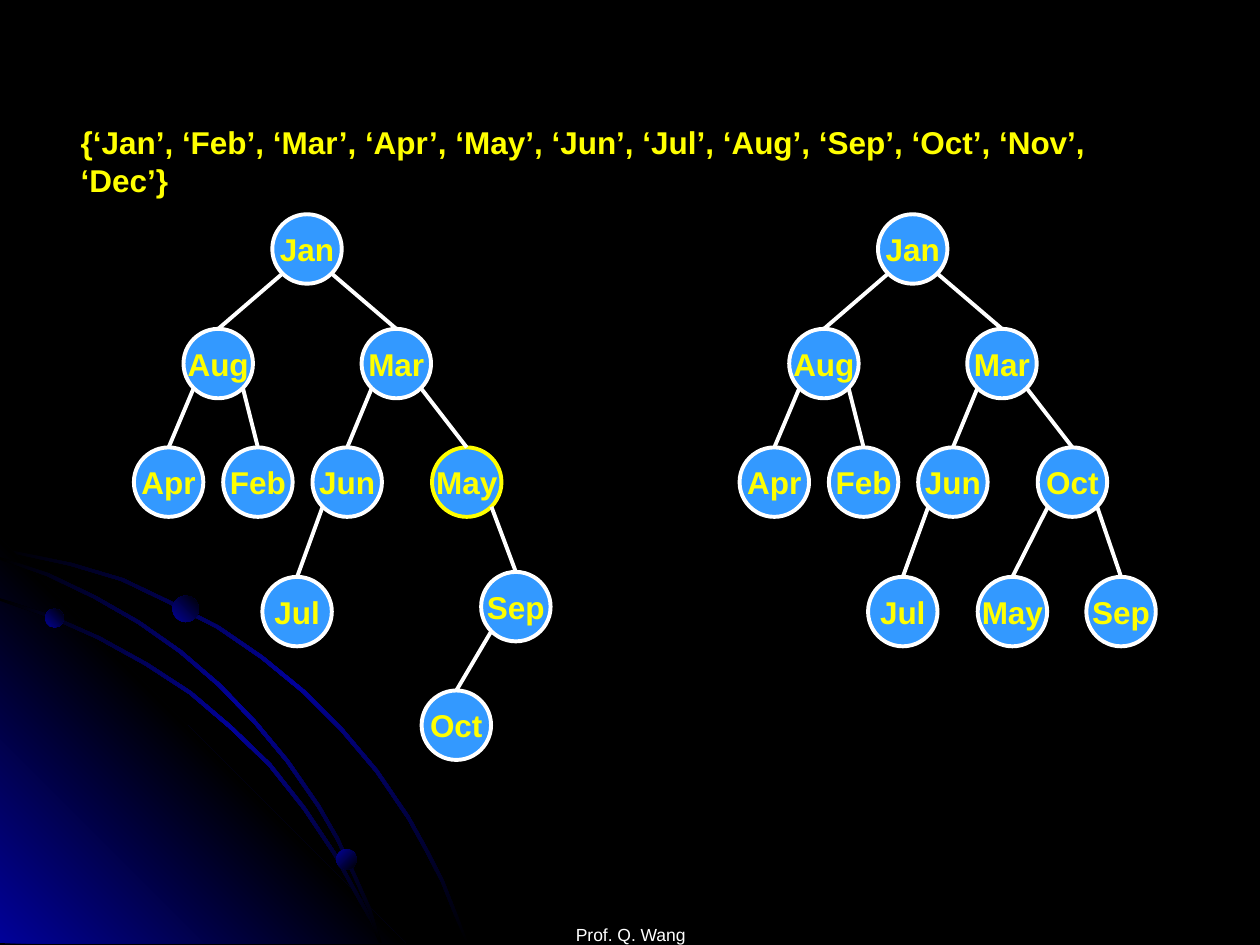
"""Build a slide that shows a search tree of months before and after a rotation."""
from dataclasses import dataclass

from lxml import etree
from pptx import Presentation
from pptx.dml.color import RGBColor
from pptx.enum.shapes import MSO_CONNECTOR, MSO_SHAPE
from pptx.enum.text import MSO_ANCHOR, MSO_AUTO_SIZE, PP_ALIGN
from pptx.oxml.ns import qn
from pptx.util import Cm, Pt

OVAL, STRAIGHT = MSO_SHAPE.OVAL, MSO_CONNECTOR.STRAIGHT
TOP, MIDDLE, BOTTOM = MSO_ANCHOR.TOP, MSO_ANCHOR.MIDDLE, MSO_ANCHOR.BOTTOM
LEFT, CENTER = PP_ALIGN.LEFT, PP_ALIGN.CENTER
NO_FIT = MSO_AUTO_SIZE.NONE
TOP_SITE = 0


@dataclass(frozen=True)
class Theme:
    """Colours, type sizes and measures of the slide."""
    black: str = "000000"
    navy: str = "010199"
    blue: str = "3399FF"
    white: str = "FFFFFF"
    yellow: str = "FFFF00"
    font: str = "Arial"
    body: float = 18
    small: float = 10
    line: float = 2.25
    diameter: float = 1.4
    band: float = 0.05


@dataclass(frozen=True)
class Node:
    """A labelled tree node, placed by its centre in centimetres."""
    label: str
    x: float
    y: float
    parent: str = ""
    outline: str = Theme.white


@dataclass(frozen=True)
class Dot:
    """A shaded ball on one of the arcs, in centimetres."""
    x: float
    y: float
    size: float
    angle: int


THEME = Theme()
ROW = (5.02, 7.33, 9.72, 12.33)
SHARED = [
    Node("Jan", 6.19, ROW[0]),
    Node("Aug", 4.4, ROW[1], "Jan"), Node("Mar", 7.99, ROW[1], "Jan"),
    Node("Apr", 3.4, ROW[2], "Aug"), Node("Feb", 5.2, ROW[2], "Aug"),
    Node("Jun", 7, ROW[2], "Mar"), Node("Jul", 5.99, ROW[3], "Jun"),
]
BEFORE = SHARED + [
    Node("May", 9.41, ROW[2], "Mar", THEME.yellow),
    Node("Sep", 10.4, 12.23, "May"), Node("Oct", 9.2, 14.62, "Sep"),
]
AFTER = SHARED + [
    Node("Oct", 9.41, ROW[2], "Mar"),
    Node("May", 8.2, ROW[3], "Oct"), Node("Sep", 10.39, ROW[3], "Oct"),
]
TREES = [(BEFORE, 0), (AFTER, 12.21)]

OUTER_ARC = [
    (0, 11.05), (1.45, 11.35), (2.49, 11.66), (3.45, 12.12), (4.42, 12.62),
    (5.31, 13.23), (6.15, 13.92), (6.91, 14.68), (7.62, 15.52), (8.26, 16.46),
    (8.61, 17.09), (8.94, 17.73), (9.19, 18.36), (9.45, 19.02),
]
INNER_ARC = [
    (0, 12.06), (1.04, 12.4), (2.01, 12.83), (2.97, 13.36), (3.86, 13.94),
    (4.67, 14.63), (5.46, 15.39), (6.15, 16.26), (6.76, 17.17), (7.26, 18.08),
    (7.52, 18.54), (7.7, 19.02),
]
MIDDLE_ARC = [
    (0, 11.23), (0.99, 11.56), (1.93, 12.01), (2.82, 12.52), (3.66, 13.11),
    (4.45, 13.79), (5.18, 14.55), (5.82, 15.32), (6.45, 16.23), (6.83, 16.89),
    (7.16, 17.6), (7.47, 18.29), (7.7, 19.02),
]
CORNER = [(8.18, 19.02), (0, 19.02), (0, 10.85)]
DOTS = [Dot(0.91, 12.27, 0.38, 315), Dot(6.78, 17.12, 0.41, 45),
        Dot(3.48, 12.01, 0.53, 315)]


def rgb(value: str) -> RGBColor:
    """Return a colour from its hexadecimal form."""
    return RGBColor.from_string(value)


def apply(target, values: dict) -> None:
    """Set each named attribute of the target."""
    for name, value in values.items():
        setattr(target, name, value)


def write(sp, text: str, size: float, color: str, bold: bool, align, frame: dict) -> None:
    """Put one formatted paragraph into a shape."""
    tf = sp.text_frame
    apply(tf, frame)
    p = tf.paragraphs[0]
    p.alignment = align
    r = p.add_run()
    r.text = text
    apply(r.font, {"name": THEME.font, "size": Pt(size), "bold": bold})
    r.font.color.rgb = rgb(color)


def shade(sp, colors: list[str], angle: int) -> None:
    """Fill a shape with evenly spaced gradient stops, angle clockwise."""
    sp.shadow.inherit = False
    sp.line.fill.background()
    sp.fill.gradient()
    sp.fill.gradient_angle = 360 - angle
    stops = sp._element.spPr.find(qn("a:gradFill")).find(qn("a:gsLst"))
    for stop in list(stops):
        stops.remove(stop)
    for i, color in enumerate(colors):
        stop = etree.SubElement(stops, qn("a:gs"), pos=str(100000 * i // (len(colors) - 1)))
        etree.SubElement(stop, qn("a:srgbClr"), val=color)


def add_outline(s, points: list[tuple], colors: list[str], angle: int) -> None:
    """Draw a closed, shaded polygon."""
    pts = [(Cm(x), Cm(y)) for x, y in points]
    builder = s.shapes.build_freeform(*pts[0], scale=1.0)
    builder.add_line_segments(pts[1:], close=True)
    shade(builder.convert_to_shape(), colors, angle)


def add_arc(s, edge: list[tuple]) -> None:
    """Draw a thin band along an edge, fading out at both ends."""
    bottom = edge[-1][1]
    inner = [(max(x - THEME.band, 0), min(y + THEME.band, bottom)) for x, y in edge]
    add_outline(s, edge + inner[::-1], [THEME.black, THEME.navy, THEME.black], 45)


def add_backdrop(s) -> None:
    """Draw the glowing corner with its arcs and balls."""
    s.background.fill.solid()
    s.background.fill.fore_color.rgb = rgb(THEME.black)
    add_arc(s, OUTER_ARC)
    add_outline(s, CORNER, [THEME.navy, THEME.black, THEME.navy], 315)
    for edge in (INNER_ARC, MIDDLE_ARC):
        add_arc(s, edge)
    for dot in DOTS:
        sp = s.shapes.add_shape(OVAL, Cm(dot.x), Cm(dot.y), Cm(dot.size), Cm(dot.size))
        shade(sp, [THEME.navy, THEME.black], dot.angle)


def add_node(s, node: Node, dx: float):
    """Draw one tree node and return its shape."""
    d = THEME.diameter
    sp = s.shapes.add_shape(OVAL, Cm(node.x + dx - d / 2), Cm(node.y - d / 2), Cm(d), Cm(d))
    sp.shadow.inherit = False
    sp.fill.solid()
    sp.fill.fore_color.rgb = rgb(THEME.blue)
    sp.line.color.rgb = rgb(node.outline)
    sp.line.width = Pt(THEME.line)
    write(sp, node.label, THEME.body, THEME.yellow, True, CENTER,
          {"word_wrap": False, "vertical_anchor": MIDDLE})
    return sp


def add_edge(s, parent: Node, child: Node, child_sp, dx: float) -> None:
    """Join the lower diagonal of a parent to the top of its child."""
    reach = THEME.diameter / 2 * 0.71
    x = parent.x + dx + (reach if child.x > parent.x else -reach)
    line = s.shapes.add_connector(STRAIGHT, Cm(x), Cm(parent.y + reach), Cm(x), Cm(child.y))
    line.end_connect(child_sp, TOP_SITE)
    line.line.color.rgb = rgb(THEME.white)
    line.line.width = Pt(THEME.line)
    etree.SubElement(line._element.spPr, qn("a:effectLst"))


def add_tree(s, nodes: list[Node], dx: float) -> None:
    """Draw a whole tree, shifted to the right by dx."""
    by_label = {node.label: node for node in nodes}
    for node in nodes:
        sp = add_node(s, node, dx)
        if node.parent:
            add_edge(s, by_label[node.parent], node, sp, dx)


def main() -> None:
    """Build and save the slide."""
    prs = Presentation()
    apply(prs, {"slide_width": Cm(25.4), "slide_height": Cm(19.05)})
    s = prs.slides.add_slide(prs.slide_layouts[5])
    add_backdrop(s)
    for nodes, dx in TREES:
        add_tree(s, nodes, dx)
    title = s.shapes.title
    apply(title, {"left": Cm(1.37), "top": Cm(2.36), "width": Cm(22.5), "height": Cm(1.75)})
    write(title, "{‘Jan’, ‘Feb’, ‘Mar’, ‘Apr’, ‘May’, ‘Jun’, ‘Jul’, ‘Aug’, ‘Sep’, ‘Oct’, ‘Nov’, ‘Dec’}",
          THEME.body, THEME.yellow, True, LEFT,
          {"word_wrap": True, "vertical_anchor": TOP, "auto_size": NO_FIT})
    footer = s.shapes.add_textbox(Cm(8.69), Cm(17.8), Cm(8.05), Cm(1.25))
    write(footer, "Prof. Q. Wang", THEME.small, THEME.white, False, CENTER,
          {"word_wrap": True, "vertical_anchor": BOTTOM, "margin_bottom": 0})
    prs.save("out.pptx")


if __name__ == "__main__":
    main()
